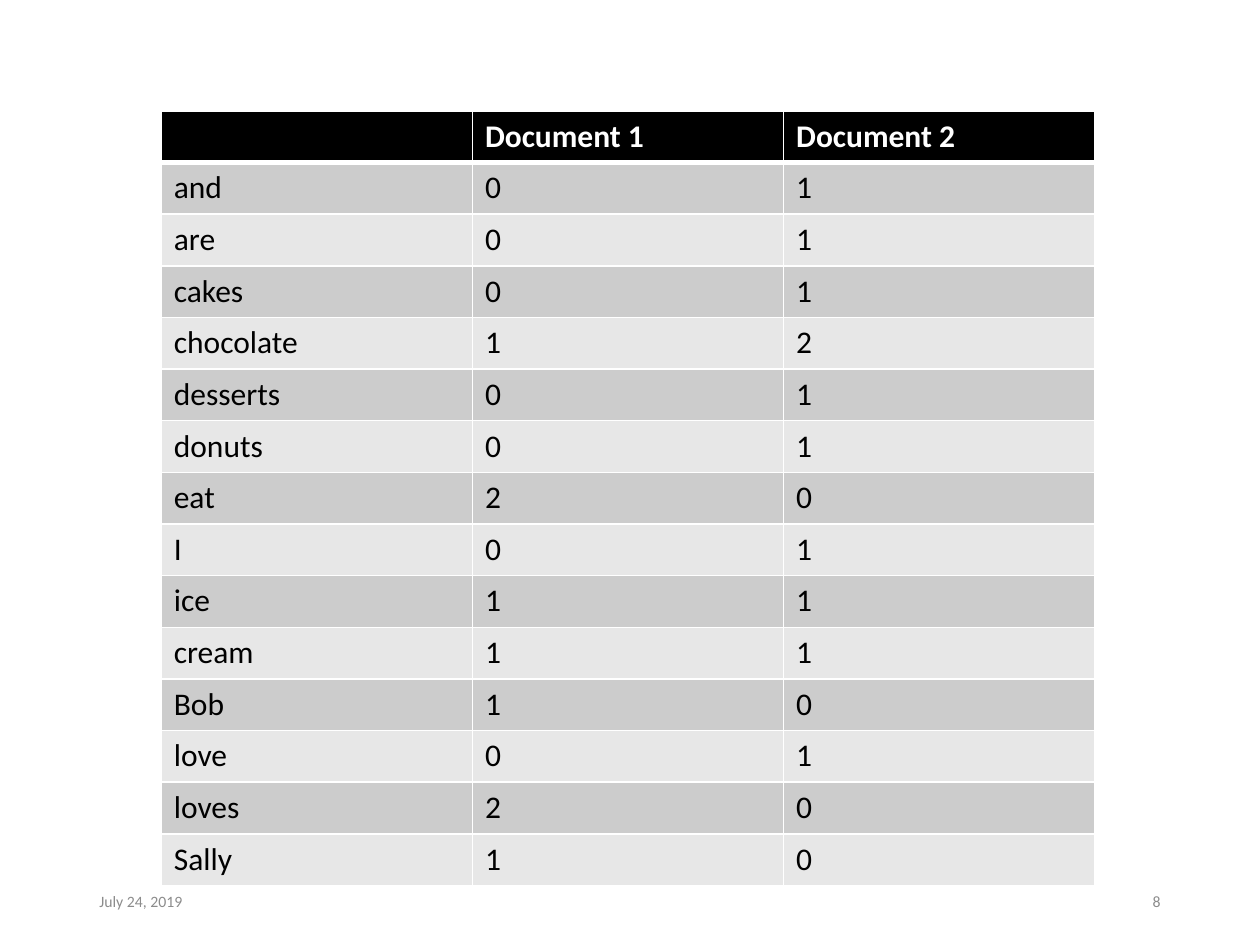
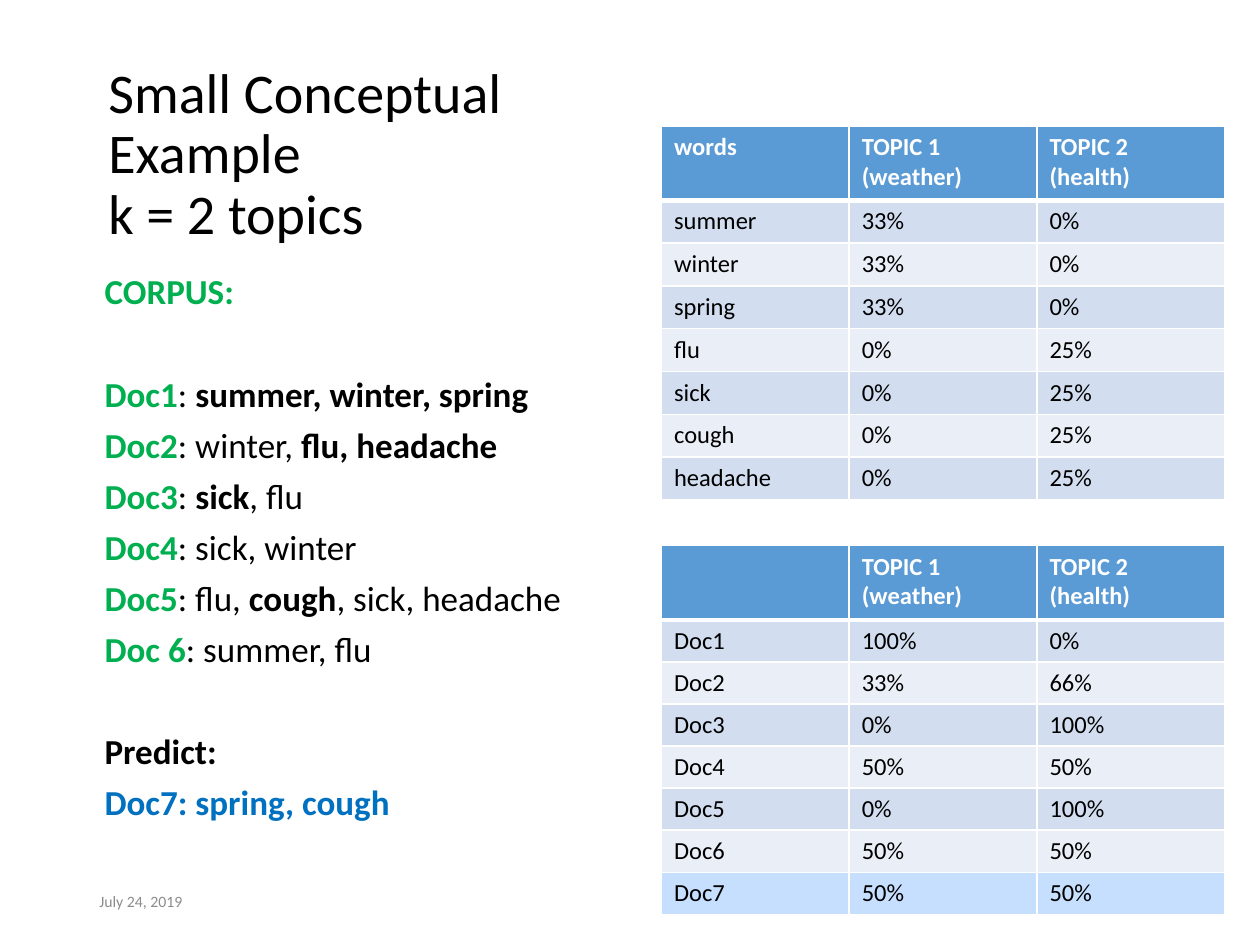
from lxml import etree
from pptx import Presentation
from pptx.dml.color import RGBColor
from pptx.enum.text import MSO_ANCHOR, MSO_AUTO_SIZE, PP_ALIGN
from pptx.oxml.ns import qn
from pptx.util import Inches, Pt

LEFT, RIGHT = PP_ALIGN.LEFT, PP_ALIGN.RIGHT
MIDDLE, TOP = MSO_ANCHOR.MIDDLE, MSO_ANCHOR.TOP
NO_AUTOFIT = MSO_AUTO_SIZE.NONE

FONT = "Calibri"
BLACK = RGBColor(0x00, 0x00, 0x00)
WHITE = RGBColor(0xFF, 0xFF, 0xFF)
GRAY = RGBColor(0x8C, 0x8C, 0x8C)
DARK_BAND = RGBColor(0xCC, 0xCC, 0xCC)
LIGHT_BAND = RGBColor(0xE7, 0xE7, 0xE7)
BLUE_HEADER = RGBColor(0x5B, 0x9B, 0xD5)
BLUE_BAND = RGBColor(0xD2, 0xDE, 0xEF)
PALE_BLUE_BAND = RGBColor(0xEA, 0xEF, 0xF7)
PREDICTED_BAND = RGBColor(0xC6, 0xDF, 0xFE)
GREEN = RGBColor(0x00, 0xB0, 0x50)
BLUE = RGBColor(0x00, 0x70, 0xC0)


def write(paragraph, text, size=18, color=BLACK, bold=False):
    """Add text to a paragraph; a newline becomes a line break."""
    for index, line in enumerate(text.split("\n")):
        if index:
            paragraph.add_line_break()
        run = paragraph.add_run()
        run.text = line
        run.font.name = FONT
        run.font.size = Pt(size)
        run.font.bold = bold
        run.font.color.rgb = color


def add_grid(slide, rows, left, top, column_width, heights, size, header, bands):
    """Add a banded table with white rules; heights are (header, body)."""
    columns = len(rows[0])
    height = heights[0] + heights[1] * (len(rows) - 1)
    table = slide.shapes.add_table(
        len(rows), columns, Inches(left), Inches(top),
        Inches(column_width * columns), Inches(height)).table
    for column in table.columns:
        column.width = Inches(column_width)
    for row_index, row in enumerate(rows):
        is_header = row_index == 0
        table.rows[row_index].height = Inches(heights[0 if is_header else 1])
        for column_index, lines in enumerate(row):
            cell = table.cell(row_index, column_index)
            properties = cell._tc.get_or_add_tcPr()
            for side in ("L", "R", "T", "B"):
                thick = (is_header and side == "B") or (row_index == 1 and side == "T")
                line = etree.SubElement(properties, qn(f"a:ln{side}"),
                                        w=str(Pt(3 if thick else 1)))
                fill = etree.SubElement(line, qn("a:solidFill"))
                etree.SubElement(fill, qn("a:srgbClr"), val=str(WHITE))
            cell.fill.solid()
            cell.fill.fore_color.rgb = header if is_header else bands[(row_index - 1) % 2]
            for line_index, text in enumerate(lines.split("\n") if lines else []):
                frame = cell.text_frame
                paragraph = frame.add_paragraph() if line_index else frame.paragraphs[0]
                write(paragraph, text, size=size, bold=is_header,
                      color=WHITE if is_header else BLACK)
    return table


presentation = Presentation()
presentation.slide_width = Inches(10)
presentation.slide_height = Inches(7.5)
counts_slide = presentation.slides.add_slide(presentation.slide_layouts[6])
topics_slide = presentation.slides.add_slide(presentation.slide_layouts[1])

# Footers: date on both slides, number on the first
for slide, left, text, alignment in (
        (counts_slide, 0.69, "July 24, 2019", LEFT),
        (counts_slide, 7.06, "8", RIGHT),
        (topics_slide, 0.69, "July 24, 2019", LEFT)):
    footer = slide.shapes.add_textbox(Inches(left), Inches(6.95), Inches(2.25), Inches(0.4))
    footer.text_frame.word_wrap = True
    footer.text_frame.vertical_anchor = MIDDLE
    paragraph = footer.text_frame.paragraphs[0]
    paragraph.alignment = alignment
    write(paragraph, text, size=9, color=GRAY)

# Slide 1: word counts per document
word_counts = [
    ("", "Document 1", "Document 2"),
    ("and", "0", "1"),
    ("are", "0", "1"),
    ("cakes", "0", "1"),
    ("chocolate", "1", "2"),
    ("desserts", "0", "1"),
    ("donuts", "0", "1"),
    ("eat", "2", "0"),
    ("I", "0", "1"),
    ("ice", "1", "1"),
    ("cream", "1", "1"),
    ("Bob", "1", "0"),
    ("love", "0", "1"),
    ("loves", "2", "0"),
    ("Sally", "1", "0"),
]
add_grid(counts_slide, word_counts, 1.28, 0.88, 2.47, (0.41, 0.41), 18,
         BLACK, (DARK_BAND, LIGHT_BAND))

# Slide 2: title and body placeholders
title = topics_slide.shapes.title
body = topics_slide.placeholders[1]
for shape, left, top, width, height, anchor in (
        (title, 0.76, 0.45, 3.94, 1.57, MIDDLE),
        (body, 0.66, 2.13, 4.04, 4.75, TOP)):
    shape.left, shape.top = Inches(left), Inches(top)
    shape.width, shape.height = Inches(width), Inches(height)
    shape.text_frame.word_wrap = True
    shape.text_frame.auto_size = NO_AUTOFIT
    shape.text_frame.vertical_anchor = anchor

paragraph = title.text_frame.paragraphs[0]
paragraph.alignment = LEFT
paragraph.line_spacing = 0.9
write(paragraph, "Small Conceptual\nExample\nk = 2 topics", size=32)

# Corpus: space before each paragraph, then its runs as (text, colour, bold)
LINE_GAP, SECTION_GAP = 7.5, 37
corpus = [
    (0, [("CORPUS:", GREEN, True)]),
    (SECTION_GAP, [("Doc1", GREEN, True), (": ", BLACK, False),
                   ("summer, winter, spring", BLACK, True)]),
    (LINE_GAP, [("Doc2", GREEN, True), (": winter, ", BLACK, False),
                ("flu, headache", BLACK, True)]),
    (LINE_GAP, [("Doc3", GREEN, True), (": ", BLACK, False),
                ("sick", BLACK, True), (", flu", BLACK, False)]),
    (LINE_GAP, [("Doc4", GREEN, True), (": sick, winter", BLACK, False)]),
    (LINE_GAP, [("Doc5", GREEN, True), (": flu, ", BLACK, False),
                ("cough", BLACK, True), (", sick, headache", BLACK, False)]),
    (LINE_GAP, [("Doc 6", GREEN, True), (": summer, flu", BLACK, False)]),
    (SECTION_GAP, [("Predict:", BLACK, True)]),
    (LINE_GAP, [("Doc7: spring, cough", BLUE, True)]),
]
for index, (gap, runs) in enumerate(corpus):
    frame = body.text_frame
    paragraph = frame.add_paragraph() if index else frame.paragraphs[0]
    properties = paragraph._p.get_or_add_pPr()
    properties.set("marL", str(Inches(0.07)))
    properties.set("indent", "0")
    etree.SubElement(properties, qn("a:buNone"))
    paragraph.line_spacing = 0.9
    paragraph.space_before = Pt(gap)
    for text, color, bold in runs:
        write(paragraph, text, size=20, color=color, bold=bold)

# Topic tables: words above, documents below
topic_headers = ("TOPIC 1 (weather)", "TOPIC 2\n(health)")
word_topics = [
    ("words", *topic_headers),
    *((word, "33%", "0%") for word in ("summer", "winter", "spring")),
    *((word, "0%", "25%") for word in ("flu", "sick", "cough", "headache")),
]
document_topics = [
    ("", *topic_headers),
    ("Doc1", "100%", "0%"),
    ("Doc2", "33%", "66%"),
    ("Doc3", "0%", "100%"),
    ("Doc4", "50%", "50%"),
    ("Doc5", "0%", "100%"),
    ("Doc6", "50%", "50%"),
    ("Doc7", "50%", "50%"),
]
for rows, top, row_height in ((word_topics, 1, 0.34), (document_topics, 4.33, 0.33)):
    topic_table = add_grid(topics_slide, rows, 5.25, top, 1.49, (0.59, row_height), 14,
                           BLUE_HEADER, (BLUE_BAND, PALE_BLUE_BAND))

# Highlight the predicted document, last row of the lower table
for column_index in range(3):
    topic_table.cell(7, column_index).fill.fore_color.rgb = PREDICTED_BAND

presentation.save("out.pptx")
